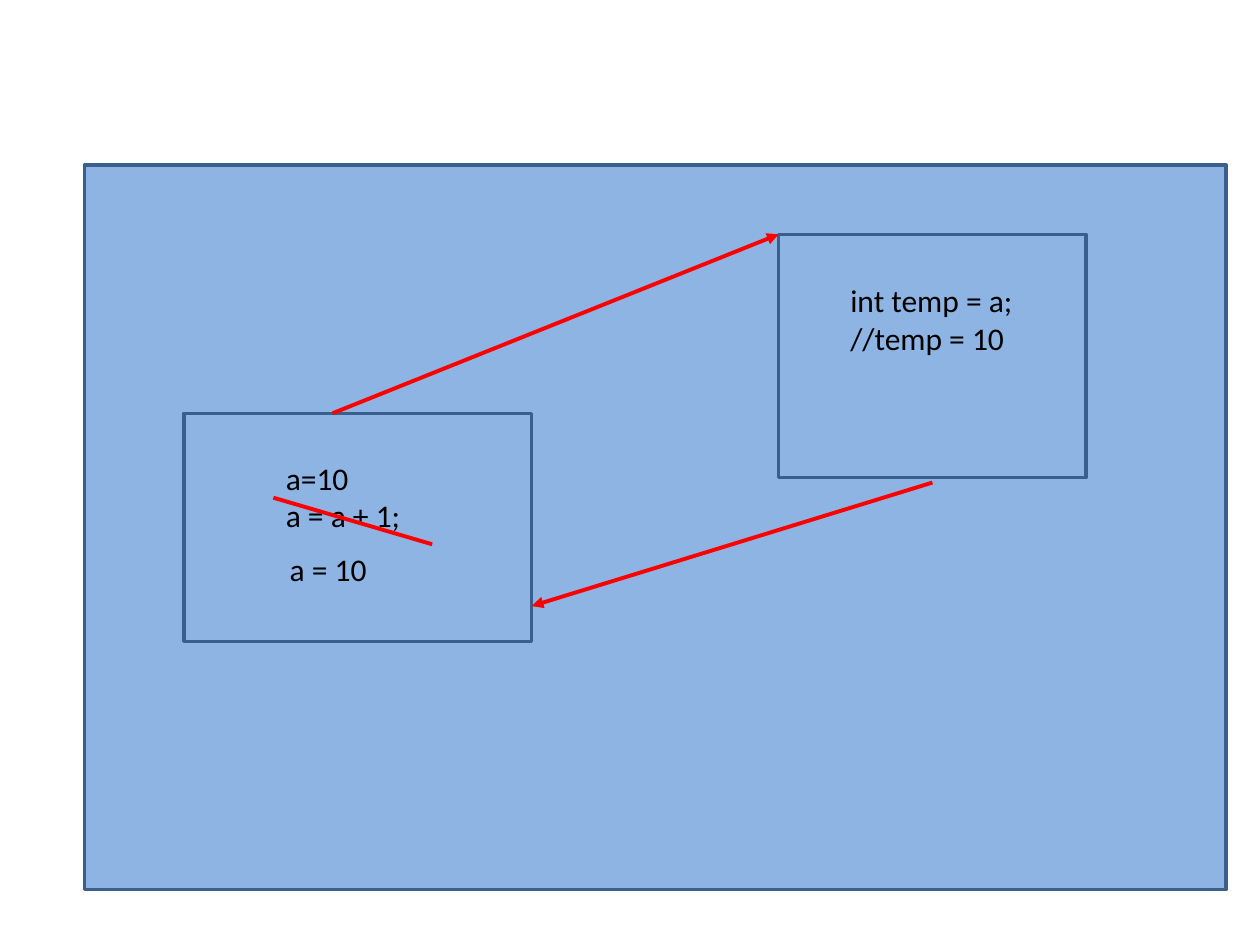
from dataclasses import dataclass

from lxml.etree import SubElement
from pptx import Presentation
from pptx.dml.color import RGBColor as RGB
from pptx.enum.shapes import MSO_CONNECTOR as CONN, MSO_SHAPE as SHAPE
from pptx.enum.text import MSO_AUTO_SIZE as AUTOSIZE
from pptx.oxml.ns import qn
from pptx.util import Inches, Pt

COLS, ROWS = 100, 75


@dataclass(frozen=True)
class Theme:
    panel: RGB = RGB(0x8E, 0xB4, 0xE3)
    border: RGB = RGB(0x3A, 0x5F, 0x8C)
    accent: RGB = RGB(0xFF, 0x00, 0x00)
    text: RGB = RGB(0x00, 0x00, 0x00)
    font: str = "Calibri"
    text_size: Pt = Pt(18)
    border_width: Pt = Pt(2)
    accent_width: Pt = Pt(2.25)


class Canvas:
    """Draws on one slide; lengths are columns and rows of the grid."""

    def __init__(self, prs, slide, theme):
        self.shapes = slide.shapes
        self.theme = theme
        self.col = prs.slide_width / COLS
        self.row = prs.slide_height / ROWS

    def emu(self, *lengths):
        """Turn alternating column and row lengths into EMU."""
        return [round(n * (self.row if i % 2 else self.col))
                for i, n in enumerate(lengths)]

    def box(self, x, y, w, h):
        sp = self.shapes.add_shape(SHAPE.RECTANGLE, *self.emu(x, y, w, h))
        sp.shadow.inherit = False
        sp.fill.solid()
        sp.fill.fore_color.rgb = self.theme.panel
        sp.line.color.rgb = self.theme.border
        sp.line.width = self.theme.border_width

    def code(self, x, y, w, h, *lines):
        tf = self.shapes.add_textbox(*self.emu(x, y, w, h)).text_frame
        tf.word_wrap = True
        tf.auto_size = AUTOSIZE.SHAPE_TO_FIT_TEXT
        font_format = {"name": self.theme.font, "size": self.theme.text_size}
        for i, line in enumerate(lines):
            p = tf.add_paragraph() if i else tf.paragraphs[0]
            r = p.add_run()
            r.text = line
            for key, value in font_format.items():
                setattr(r.font, key, value)
            r.font.color.rgb = self.theme.text

    def line(self, x1, y1, x2, y2, arrow=False):
        cxn = self.shapes.add_connector(CONN.STRAIGHT, *self.emu(x1, y1, x2, y2))
        cxn.line.color.rgb = self.theme.accent
        cxn.line.width = self.theme.accent_width
        if arrow:
            SubElement(cxn.line._get_or_add_ln(), qn("a:tailEnd"), type="triangle")
        SubElement(cxn._element.spPr, qn("a:effectLst"))


def main():
    prs = Presentation()
    prs.slide_width, prs.slide_height = Inches(10), Inches(7.5)
    slide = prs.slides.add_slide(prs.slide_layouts[6])
    canvas = Canvas(prs, slide, Theme())

    canvas.box(6.7, 13.1, 90.6, 57.5)

    caller = (14.6, 32.8, 27.6, 18.1)
    canvas.box(*caller)
    canvas.code(21.7, 35.9, 15, 7.1, "a=10", "a = a + 1;")

    callee = (61.8, 18.6, 24.4, 19.3)
    canvas.box(*callee)
    canvas.code(66.5, 21.8, 16.5, 7.1, "int temp = a;", "//temp = 10")

    canvas.line(26.4, caller[1], callee[0], callee[1], arrow=True)
    canvas.line(callee[0] + callee[2] / 2, 38.3,
                caller[0] + caller[2], 48.1, arrow=True)

    # Strike out the increment and show the value that remains
    canvas.line(21.7, 39.5, 34.3, 43.2)
    canvas.code(22, 43.2, 16.5, 4, "a = 10")

    prs.save("out.pptx")


if __name__ == "__main__":
    main()
